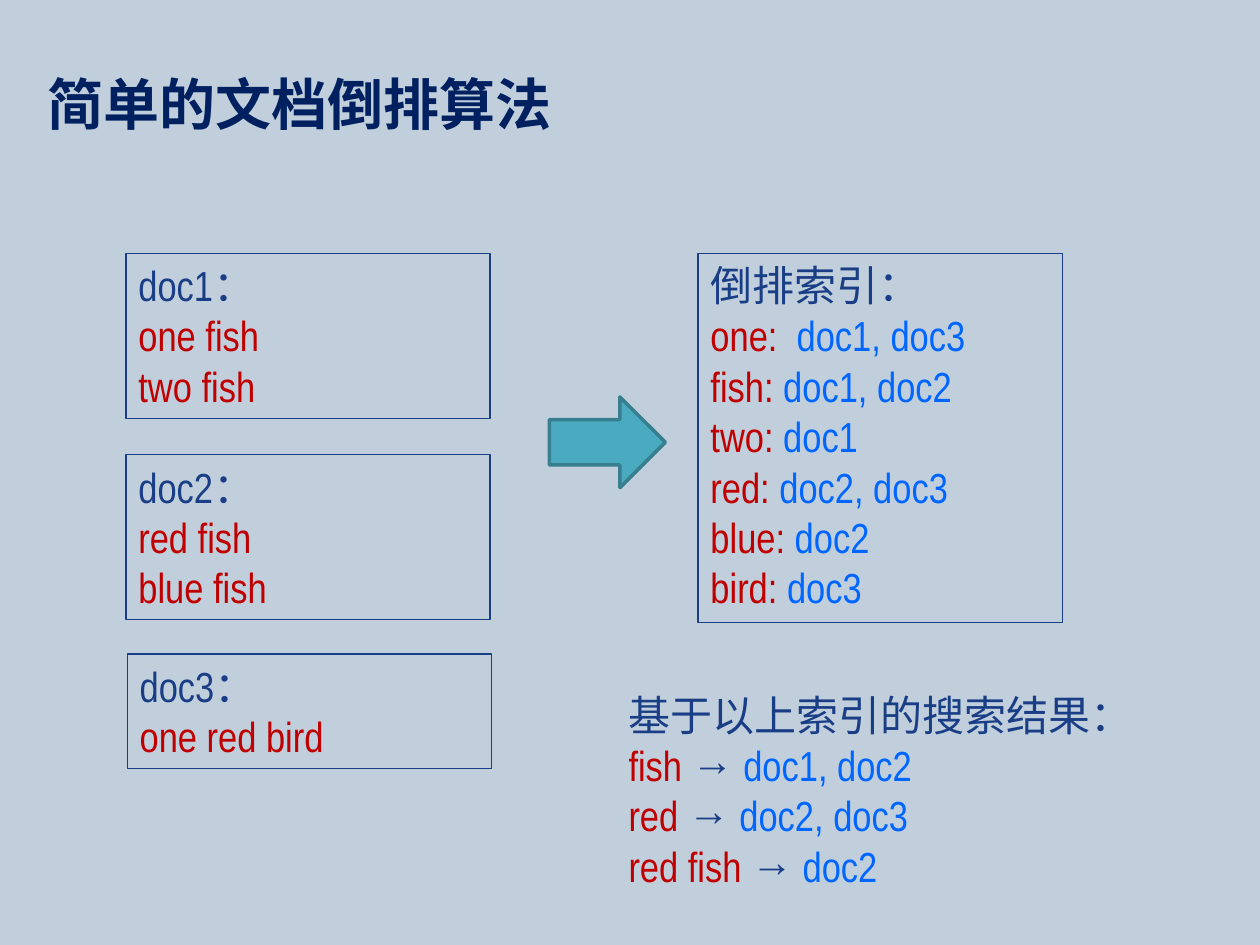
from lxml import etree
from pptx import Presentation
from pptx.dml.color import RGBColor
from pptx.enum.shapes import MSO_SHAPE
from pptx.enum.text import MSO_ANCHOR, PP_ALIGN
from pptx.oxml.ns import qn
from pptx.util import Inches, Pt

RECTANGLE = MSO_SHAPE.RECTANGLE
RIGHT_ARROW = MSO_SHAPE.RIGHT_ARROW
TOP = MSO_ANCHOR.TOP
LEFT = PP_ALIGN.LEFT

BACKGROUND = RGBColor(0xC1, 0xCF, 0xDD)
TITLE_NAVY = RGBColor(0x00, 0x20, 0x60)
NAVY = RGBColor(0x1A, 0x3E, 0x86)
TERM_RED = RGBColor(0xC0, 0x00, 0x00)
DOC_BLUE = RGBColor(0x00, 0x66, 0xFF)
ARROW_TEAL = RGBColor(0x4A, 0xAA, 0xC0)
ARROW_EDGE = RGBColor(0x37, 0x7E, 0x8E)

LATIN_FONT = "Arial Narrow"
CHINESE_FONT = "Noto Sans CJK SC"
WIDTH, HEIGHT = 10, 7.5
COLUMNS, ROWS = 100, 75
CARD_WIDTH = 28.9
CARD_TOP = 20.1


class SlideBuilder:
    def __init__(self, slide):
        self.slide = slide
        fill = slide.background.fill
        fill.solid()
        fill.fore_color.rgb = BACKGROUND

    def place(self, column, row, columns, rows):
        return (
            Inches(column * WIDTH / COLUMNS),
            Inches(row * HEIGHT / ROWS),
            Inches(columns * WIDTH / COLUMNS),
            Inches(rows * HEIGHT / ROWS),
        )

    def set_lines(self, shape, lines, size=24, latin=LATIN_FONT, bold=False):
        frame = shape.text_frame
        frame.word_wrap = True
        frame.vertical_anchor = TOP
        frame.text = "\n".join("".join(words for words, _ in line) for line in lines)
        for paragraph, line in zip(frame.paragraphs, lines):
            paragraph.alignment = LEFT
            paragraph.text = line[0][0]
            for words, _ in line[1:]:
                paragraph.add_run().text = words
            for run, (_, color) in zip(paragraph.runs, line):
                run.font.size = Pt(size)
                run.font.bold = bold
                run.font.name = latin
                run.font.color.rgb = color
                east_asian = etree.SubElement(run.font._element, qn("a:ea"))
                east_asian.set("typeface", CHINESE_FONT)

    def text(self, area, lines, **style):
        self.set_lines(self.slide.shapes.add_textbox(*self.place(*area)), lines, **style)

    def shape(self, kind, area, line_color, line_width):
        shape = self.slide.shapes.add_shape(kind, *self.place(*area))
        shape.shadow.inherit = False
        shape.line.color.rgb = line_color
        shape.line.width = Pt(line_width)
        return shape

    def card(self, area, lines):
        card = self.shape(RECTANGLE, area, NAVY, 0.75)
        card.fill.background()
        self.set_lines(card, lines)

    def arrow(self, area):
        arrow = self.shape(RIGHT_ARROW, area, ARROW_EDGE, 2)
        arrow.fill.solid()
        arrow.fill.fore_color.rgb = ARROW_TEAL


def main():
    deck = Presentation()
    deck.slide_width, deck.slide_height = Inches(WIDTH), Inches(HEIGHT)
    builder = SlideBuilder(deck.slides.add_slide(deck.slide_layouts[6]))

    builder.text((2.8, 5, 90.8, 59.6), [[("简单的文档倒排算法", TITLE_NAVY)]],
                 size=32, latin=CHINESE_FONT, bold=True)

    results = [("fish ", "doc1, doc2"), ("red ", "doc2, doc3"), ("red fish ", "doc2")]
    builder.text(
        (48.9, 54.2, 40.7, 17.2),
        [[("基于以上索引的搜索结果：", NAVY)]]
        + [[(query, TERM_RED), ("→ ", NAVY), (found, DOC_BLUE)] for query, found in results],
    )

    documents = [
        ("doc1：", ["one fish", "two fish"], 10, CARD_TOP, 13.1),
        ("doc2：", ["red fish", "blue fish"], 10, 36.1, 13.1),
        ("doc3：", ["one red bird"], 10.1, 51.9, 9.1),
    ]
    for name, contents, column, row, rows in documents:
        builder.card((column, row, CARD_WIDTH, rows),
                     [[(name, NAVY)]] + [[(content, TERM_RED)] for content in contents])

    index = [
        ("one:  ", "doc1, doc3"),
        ("fish: ", "doc1, doc2"),
        ("two: ", "doc1"),
        ("red: ", "doc2, doc3"),
        ("blue: ", "doc2"),
        ("bird: ", "doc3"),
    ]
    builder.card((55.4, CARD_TOP, CARD_WIDTH, 29.3),
                 [[("倒排索引：", NAVY)]]
                 + [[(term, TERM_RED), (found, DOC_BLUE)] for term, found in index])

    builder.arrow((43.6, 31.5, 9.2, 7.2))
    deck.save("out.pptx")


if __name__ == "__main__":
    main()
